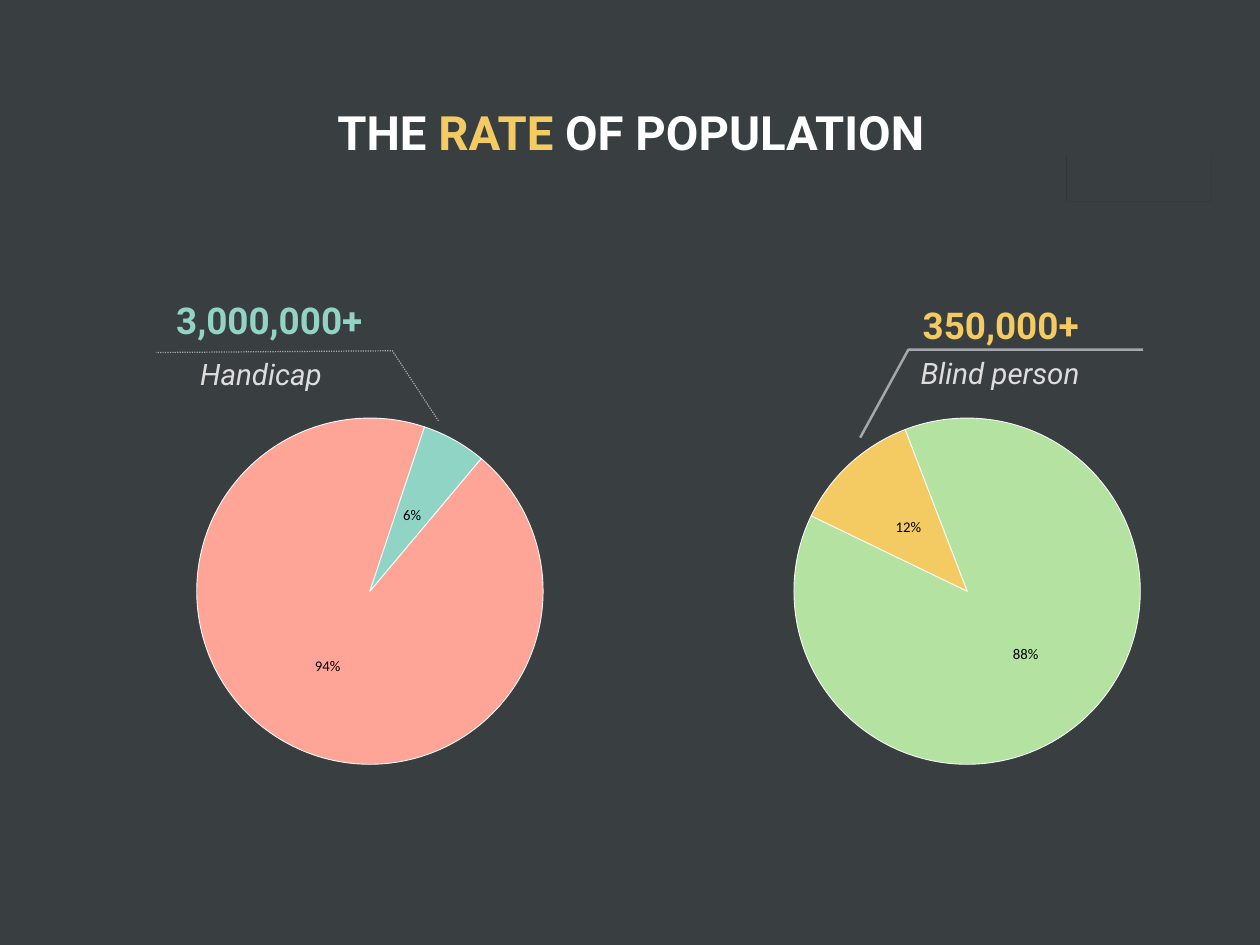
from lxml import etree
from pptx import Presentation
from pptx import util as u
from pptx.chart.data import CategoryChartData
from pptx.dml.color import RGBColor
from pptx.enum import chart as ch, dml, shapes, text
from pptx.oxml import parse_xml
from pptx.oxml.ns import nsdecls, qn

HUES = {
    "back": "393E40", "rule": "A6A7AC", "edge": "F9F9F9", "white": "FFFFFF",
    "soft": "DDDDDD", "black": "000000", "gold": "F4CB62", "green": "B4E2A1",
    "coral": "FFA598", "mint": "90D4C5", "teal": "91D3C5",
}
PIE = 10.03
TOP = 11.94


class Deck:
    """Holds the style and the slide being filled."""

    face = "Roboto"

    def __init__(self, wide, high):
        self.prs = Presentation()
        self.prs.slide_width, self.prs.slide_height = u.Cm(wide), u.Cm(high)
        self.slide = self.prs.slides.add_slide(self.prs.slide_layouts[6])
        self.paint(self.slide.background.fill, "back")

    def hue(self, name):
        return RGBColor.from_string(HUES[name])

    def paint(self, fill, name):
        fill.solid()
        fill.fore_color.rgb = self.hue(name)

    def style(self, font, size, name, face=face, bold=False, slant=False):
        font.size, font.name = u.Pt(size), face
        font.bold, font.italic = bold, slant
        font.color.rgb = self.hue(name)

    def lead(self, points, width, dash=None):
        """Draw an open leader line through points."""
        start, *rest = [(u.Cm(x), u.Cm(y)) for x, y in points]
        pen = self.slide.shapes.build_freeform(*start)
        pen.add_line_segments(rest, close=False)
        shape = pen.convert_to_shape()
        shape.shadow.inherit = False
        shape.fill.background()
        shape.line.color.rgb = self.hue("rule")
        shape.line.width = u.Pt(width)
        if dash:
            shape.line.dash_style = dash

    def panel(self, box):
        """Add a background-coloured box with a faint shadow."""
        shape = self.slide.shapes.add_shape(
            shapes.MSO_SHAPE.RECTANGLE, *map(u.Cm, box))
        shape.shadow.inherit = False
        self.paint(shape.fill, "back")
        shape.line.fill.background()
        glow = shape._element.spPr.find(qn("a:effectLst"))
        glow.append(parse_xml(
            f'<a:outerShdw {nsdecls("a")} blurRad="0" dist="0" dir="5400000">'
            '<a:srgbClr val="000000"><a:alpha val="50000"/></a:srgbClr>'
            '</a:outerShdw>'))

    def label(self, box, runs, size, pad=0.05, wrap=False, mid=True,
              align=text.PP_ALIGN.LEFT, **look):
        frame = self.slide.shapes.add_textbox(*map(u.Cm, box)).text_frame
        frame.word_wrap = wrap
        frame.margin_left = frame.margin_right = u.Cm(pad)
        frame.margin_top = frame.margin_bottom = u.Cm(pad)
        frame.vertical_anchor = (
            text.MSO_ANCHOR.MIDDLE if mid else text.MSO_ANCHOR.TOP)
        para = frame.paragraphs[0]
        para.alignment = align
        for words, name in runs:
            run = para.add_run()
            run.text = words
            self.style(run.font, size, name, **look)

    def pie(self, left, values, names, angle):
        data = CategoryChartData()
        data.categories = ["1", "2"]
        data.add_series("Series 1", values)
        chart = self.slide.shapes.add_chart(
            ch.XL_CHART_TYPE.PIE, u.Cm(left), u.Cm(TOP),
            u.Cm(PIE), u.Cm(PIE), data).chart
        chart.has_title = chart.has_legend = False
        self.style(chart.font, 10, "rule")
        plot = chart.plots[0]
        plot.vary_by_categories = False
        series = plot.series[0]
        self.paint(series.format.fill, names[0])
        for i, name in enumerate(names):
            look = series.points[i].format
            self.paint(look.fill, name)
            look.line.color.rgb = self.hue("edge")
            look.line.width = u.Pt(0.75)
        tags = series.data_labels
        tags.show_percentage, tags.show_value = True, False
        tags.number_format, tags.number_format_is_linked = "#,##0%", False
        tags.position = ch.XL_LABEL_POSITION.CENTER
        self.style(tags.font, 12, "black", face="Calibri")
        self.turn(plot._element, angle)
        self.fit(chart)

    def turn(self, pie, angle):
        """Set the angle of the first slice."""
        for old in pie.findall(qn("c:firstSliceAng")):
            pie.remove(old)
        etree.SubElement(pie, qn("c:firstSliceAng")).set("val", str(angle))

    def fit(self, chart):
        """Let the plot fill its frame."""
        area = chart._chartSpace.chart.plotArea
        for old in area.findall(qn("c:layout")):
            area.remove(old)
        layout = etree.Element(qn("c:layout"))
        manual = etree.SubElement(layout, qn("c:manualLayout"))
        rules = {"layoutTarget": "inner", "xMode": "edge", "yMode": "edge",
                 "x": 0.005, "y": 0.005, "w": 0.99, "h": 0.99}
        for key, value in rules.items():
            etree.SubElement(manual, qn(f"c:{key}")).set("val", str(value))
        area.insert(0, layout)


def main():
    deck = Deck(36.12, 27.1)
    deck.lead([(12.57, 12.07), (11.25, 10.06), (4.47, 10.11)], 1,
              dml.MSO_LINE.ROUND_DOT)
    deck.lead([(24.66, 12.55), (26.04, 10.03), (32.77, 10.03)], 2)
    deck.panel((30.58, 4.42, 4.14, 1.35))

    deck.pie(22.71, (88, 12), ("green", "gold"), 339)
    deck.pie(5.59, (94, 6), ("coral", "mint"), 40)

    deck.label((7.72, 2.9, 20.73, 3.18),
               [("THE ", "white"), ("RATE", "gold"),
                (" OF POPULATION", "white")],
               38.4, wrap=True, mid=False, align=text.PP_ALIGN.CENTER,
               bold=True)
    deck.label((26.37, 8.59, 9.22, 2.44), [("350,000+", "gold")], 30,
               pad=0.08, wrap=True, mid=False, bold=True)
    deck.label((5, 8.48, 5.49, 1.37), [("3,000,000+", "teal")], 30, bold=True)
    deck.label((26.34, 10.11, 4.85, 1.14), [("Blind person", "soft")], 24,
               slant=True)
    deck.label((5.69, 10.16, 3.73, 1.14), [("Handicap", "soft")], 24,
               slant=True)
    deck.prs.save("out.pptx")


if __name__ == "__main__":
    main()
